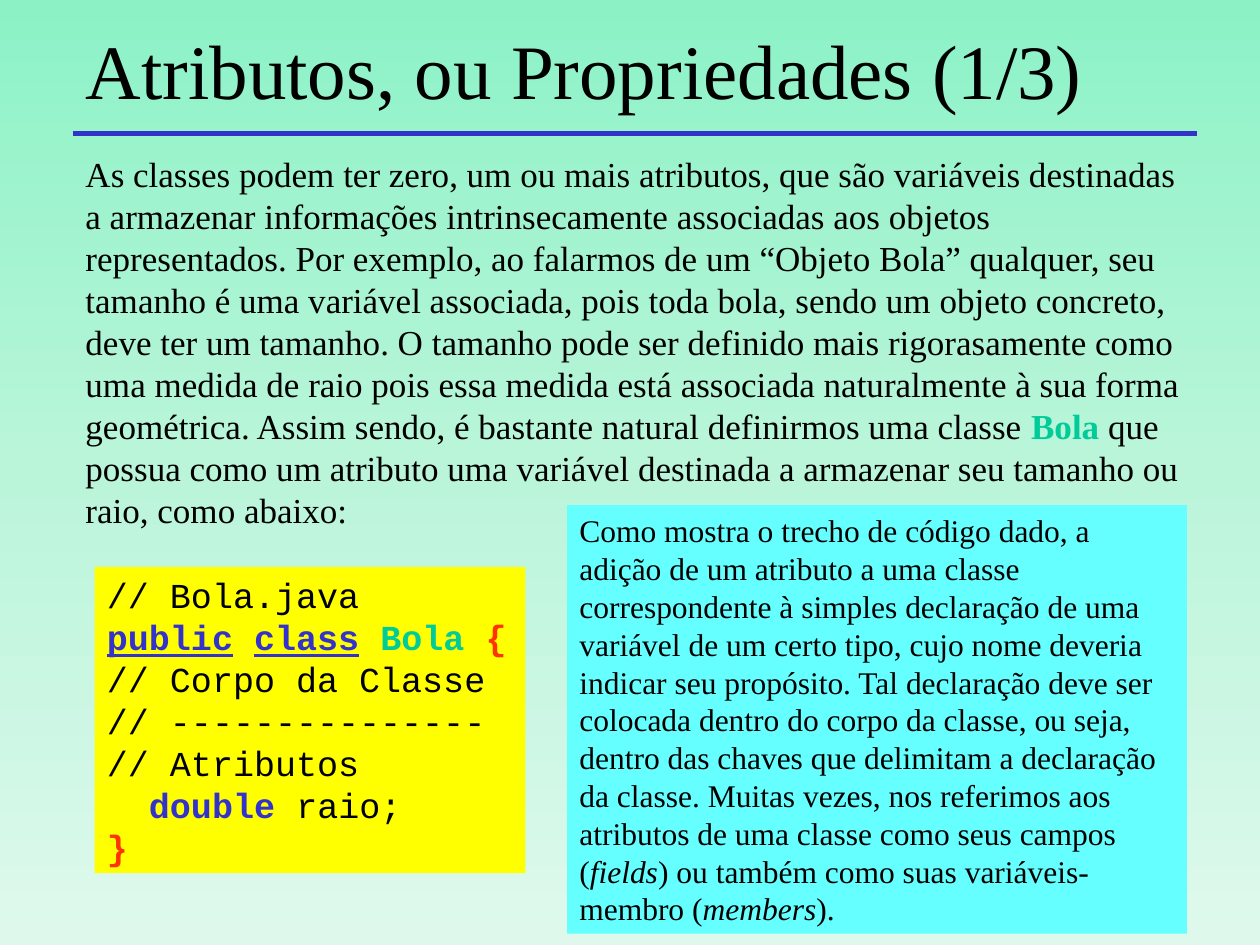
import copy
from dataclasses import dataclass
from typing import Optional

import pptx
import pptx.dml.color
import pptx.enum.shapes
import pptx.enum.text
import pptx.oxml.ns
import pptx.util
from pptx.dml.color import RGBColor
from pptx.util import Inches

BLACK = RGBColor(0x00, 0x00, 0x00)
BLUE = RGBColor(0x33, 0x33, 0xCC)
GREEN = RGBColor(0x00, 0xCC, 0x99)
RED = RGBColor(0xFF, 0x33, 0x00)
CYAN = RGBColor(0x66, 0xFF, 0xFF)
YELLOW = RGBColor(0xFF, 0xFF, 0x00)
BACKGROUND = [
    (0, RGBColor(0x8C, 0xF2, 0xC6)),
    (0.5, RGBColor(0xBA, 0xF5, 0xDA)),
    (1, RGBColor(0xDE, 0xF9, 0xEC)),
]
SERIF = "Times New Roman"
MONO = "Courier New"


@dataclass
class Run:
    text: str
    color: Optional[RGBColor] = None
    bold: Optional[bool] = None
    italic: Optional[bool] = None
    underline: Optional[bool] = None


@dataclass
class Box:
    left: float
    top: float
    width: float
    height: float
    font: str
    size: int
    paragraphs: list[list[Run]]
    fill: Optional[RGBColor] = None


INTRO = Box(0.58, 1.16, 8.92, 3.1, SERIF, 20, [[
    Run("As classes podem ter zero, um ou mais atributos, que são variáveis destinadas "
        "a armazenar informações intrinsecamente associadas aos objetos representados. "
        "Por exemplo, ao falarmos de um “Objeto Bola” qualquer, seu tamanho é uma "
        "variável associada, pois toda bola, sendo um objeto concreto, deve ter um "
        "tamanho. O tamanho pode ser definido mais rigorasamente como uma medida de "
        "raio pois essa medida está associada naturalmente à sua forma geométrica. "
        "Assim sendo, é bastante natural definirmos uma classe "),
    Run("Bola", GREEN, bold=True),
    Run(" que possua como um atributo uma variável destinada a armazenar seu tamanho "
        "ou raio, como abaixo:"),
]])

EXPLANATION = Box(4.5, 4.01, 4.92, 3.4, SERIF, 18, [[
    Run("Como mostra o trecho de código dado, a adição de um atributo a uma classe "
        "correspondente à simples declaração de uma variável de um certo tipo, cujo "
        "nome deveria indicar seu propósito. Tal declaração deve ser colocada dentro "
        "do corpo da classe, ou seja, dentro das chaves que delimitam a declaração da "
        "classe. Muitas vezes, nos referimos aos atributos de uma classe como seus "
        "campos ("),
    Run("fields", italic=True),
    Run(") ou também como suas variáveis-membro ("),
    Run("members", italic=True),
    Run(")."),
]], CYAN)

CODE = Box(0.75, 4.5, 3.42, 2.43, MONO, 20, [
    [Run("// Bola.java")],
    [
        Run("public", BLUE, bold=True, underline=True),
        Run(" ", bold=True),
        Run("class", BLUE, bold=True, underline=True),
        Run(" ", bold=True),
        Run("Bola ", GREEN, bold=True),
        Run("{", RED, bold=True),
    ],
    [Run("// Corpo da Classe")],
    [Run("// ---------------")],
    [Run("// Atributos")],
    [Run("  double", BLUE, bold=True), Run(" raio;")],
    [Run("}", RED, bold=True)],
], YELLOW)


def set_background(s: pptx.slide.Slide) -> None:
    fill = s.background.fill
    fill.gradient()
    fill.gradient_angle = 270
    gs_list = s.element.find(".//" + pptx.oxml.ns.qn("a:gsLst"))
    gs_list.append(copy.deepcopy(gs_list[0]))
    for stop, (position, color) in zip(fill.gradient_stops, BACKGROUND):
        stop.position = position
        stop.color.rgb = color


def set_font(p, name: str, size: int) -> None:
    p.alignment = pptx.enum.text.PP_ALIGN.LEFT
    p.font.name = name
    p.font.size = pptx.util.Pt(size)
    p.font.color.rgb = BLACK


def add_title(s: pptx.slide.Slide, text: str) -> None:
    sp = s.shapes.title
    sp.left, sp.top = Inches(0.58), Inches(0.17)
    sp.width, sp.height = Inches(8.5), Inches(0.75)
    tf = sp.text_frame
    tf.text = text
    tf.auto_size = pptx.enum.text.MSO_AUTO_SIZE.NONE
    tf.vertical_anchor = pptx.enum.text.MSO_ANCHOR.MIDDLE
    set_font(tf.paragraphs[0], SERIF, 44)


def add_rule(s: pptx.slide.Slide) -> None:
    line = s.shapes.add_connector(
        pptx.enum.shapes.MSO_CONNECTOR.STRAIGHT,
        Inches(0.58), Inches(1.06), Inches(9.5), Inches(1.06))
    line.line.color.rgb = BLUE
    line.line.width = pptx.util.Pt(3)
    line._element.spPr.append(pptx.oxml.parse_xml(
        f"<a:effectLst {pptx.oxml.ns.nsdecls('a')}/>"))


def add_box(s: pptx.slide.Slide, box: Box) -> None:
    bounds = [Inches(v) for v in (box.left, box.top, box.width, box.height)]
    if box.fill is None:
        sp = s.shapes.add_textbox(*bounds)
    else:
        sp = s.shapes.add_shape(pptx.enum.shapes.MSO_SHAPE.RECTANGLE, *bounds)
        sp.shadow.inherit = False
        sp.fill.solid()
        sp.fill.fore_color.rgb = box.fill
        sp.line.fill.background()
    tf = sp.text_frame
    tf.word_wrap = True
    tf.auto_size = pptx.enum.text.MSO_AUTO_SIZE.SHAPE_TO_FIT_TEXT
    tf.vertical_anchor = pptx.enum.text.MSO_ANCHOR.TOP
    for i, runs in enumerate(box.paragraphs):
        p = tf.add_paragraph() if i else tf.paragraphs[0]
        set_font(p, box.font, box.size)
        for run in runs:
            r = p.add_run()
            r.text = run.text
            r.font.bold = run.bold
            r.font.italic = run.italic
            r.font.underline = run.underline
            r.font.color.rgb = run.color or BLACK


def main() -> None:
    prs = pptx.Presentation()
    prs.slide_width, prs.slide_height = Inches(10), Inches(7.5)
    s = prs.slides.add_slide(prs.slide_layouts.get_by_name("Title Only"))
    set_background(s)
    add_title(s, "Atributos, ou Propriedades (1/3)")
    add_box(s, INTRO)
    add_rule(s)
    add_box(s, EXPLANATION)
    add_box(s, CODE)
    prs.save("out.pptx")


if __name__ == "__main__":
    main()
